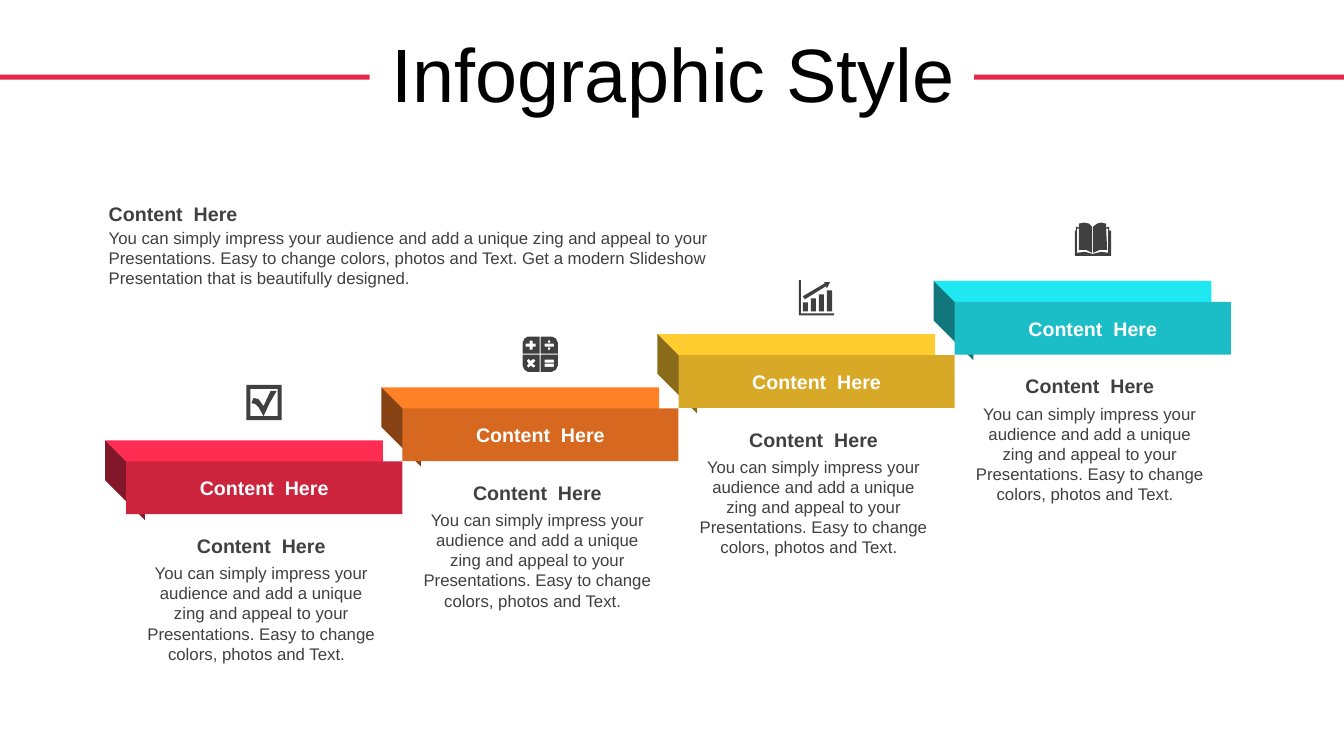
"""Builds a slide with a staircase of four extruded bars, icons and captions."""
from dataclasses import dataclass

from pptx import Presentation
from pptx.dml.color import RGBColor
from pptx.enum.shapes import MSO_SHAPE
from pptx.enum.text import MSO_ANCHOR, MSO_AUTO_SIZE, PP_ALIGN
from pptx.util import Cm, Pt

RECT = MSO_SHAPE.RECTANGLE
MIDDLE, TOP = MSO_ANCHOR.MIDDLE, MSO_ANCHOR.TOP
CENTER, LEFT = PP_ALIGN.CENTER, PP_ALIGN.LEFT
NO_FIT = MSO_AUTO_SIZE.NONE

Contour = list[tuple[float, float]]

FONT = "Arial"
COLORS = {
    "rule": "E62949", "title": "000000", "text": "404040", "label": "FFFFFF",
    "red": "CD243E", "red_top": "FF2D51", "red_side": "821729",
    "orange": "D6681F", "orange_top": "FF8126", "orange_side": "874214",
    "yellow": "D8A827", "yellow_top": "FFCD30", "yellow_side": "8A6B19",
    "cyan": "1BBDC6", "cyan_top": "20E8F2", "cyan_side": "11777D",
}
HEADING = "Content  Here"
BODY = ("You can simply impress your audience and add a unique zing and appeal to your "
        "Presentations. Easy to change colors, photos and Text.")
INTRO = BODY + " Get a modern Slideshow Presentation that is beautifully designed."

SLIDE_W, SLIDE_H = 33.87, 19.05
RULE_W = 9.32
BAR_X, BAR_Y, BAR_W, BAR_H = 3.18, 11.63, 6.96, 1.33
RISE, DEPTH = 1.34, 0.53
ICON_UNIT = Cm(2.54) / 100


def box(x1: float, y1: float, x2: float, y2: float) -> Contour:
    """Return the corners of a rectangle."""
    return [(x1, y1), (x2, y1), (x2, y2), (x1, y2)]


CHECK = [
    box(0, 0, 35, 35), box(4, 4, 31, 31),
    [(5, 18), (7, 13), (12, 14), (17, 21), (24, 6), (30, 6), (23, 18), (17, 31),
     (12, 22), (9, 19)],
]
CALCULATOR = [
    [(5, 0), (17, 0), (17, 17), (0, 17), (0, 6), (2, 2)],
    [(18, 0), (29, 0), (33, 2), (35, 6), (35, 17), (18, 17)],
    [(0, 18), (17, 18), (17, 35), (5, 35), (2, 33), (0, 29)],
    [(18, 18), (35, 18), (35, 29), (33, 33), (29, 35), (18, 35)],
    [(7, 4), (10, 4), (10, 7), (13, 7), (13, 10), (10, 10), (10, 13), (7, 13),
     (7, 10), (3, 10), (3, 7), (7, 7)],
    [(26, 3), (28, 5), (26, 7), (25, 5)], box(22, 7, 31, 10),
    [(26, 10), (28, 12), (26, 14), (25, 12)],
    [(6, 22), (4, 24), (6, 27), (4, 29), (6, 31), (8, 29), (11, 31), (13, 29),
     (10, 27), (13, 24), (11, 22), (8, 24)],
    box(22, 23, 31, 26), box(22, 27, 31, 30),
]
CHART = [
    *(box(4 + 8 * i, 22 - 4 * i, 9 + 8 * i, 31) for i in range(4)),
    [(25, 2), (31, 2), (28, 8), (27, 6), (6, 19), (4, 16), (26, 3)],
    [(0, 0), (2, 0), (2, 33), (35, 33), (35, 35), (0, 35)],
]
BOOK = [
    [(17, 31), (18, 31), (26, 29), (33, 30), (33, 6), (31, 6), (32, 27), (25, 27),
     (18, 30), (18, 4), (22, 1), (26, 0), (31, 1), (31, 5), (34, 4), (34, 8), (36, 8),
     (36, 33), (0, 33), (0, 8), (1, 8), (1, 4), (4, 5), (4, 1), (9, 0), (14, 1),
     (17, 4), (17, 30), (11, 27), (4, 27), (4, 6), (2, 6), (2, 30), (10, 29)],
]


@dataclass
class Step:
    """One bar of the staircase with the icon above it."""
    color: str
    icon: list[Contour]
    icon_y: float


STEPS = [
    Step("red", CHECK, 9.7),
    Step("orange", CALCULATOR, 8.48),
    Step("yellow", CHART, 7.06),
    Step("cyan", BOOK, 5.61),
]


def paint(sp, color: str) -> None:
    """Give a shape a flat fill without line or shadow."""
    sp.fill.solid()
    sp.fill.fore_color.rgb = RGBColor.from_string(COLORS[color])
    sp.line.fill.background()
    sp.shadow.inherit = False


def write(sp, text: str, size: int, color: str, bold=False, align=CENTER, anchor=MIDDLE):
    """Write one formatted paragraph into a shape and return it."""
    tf = sp.text_frame
    tf.text = text
    tf.word_wrap = True
    tf.auto_size = NO_FIT
    tf.vertical_anchor = anchor
    p = tf.paragraphs[0]
    p.alignment = align
    font = p.runs[0].font
    font.name, font.size, font.bold = FONT, Pt(size), bold
    font.color.rgb = RGBColor.from_string(COLORS[color])
    return p


def add_rect(s, x: float, y: float, w: float, h: float, color: str):
    """Add a flat rectangle."""
    sp = s.shapes.add_shape(RECT, Cm(x), Cm(y), Cm(w), Cm(h))
    paint(sp, color)
    return sp


def add_outline(s, contours: list[Contour], x: float, y: float, unit: float, color: str) -> None:
    """Add a filled freeform of closed contours."""
    builder = s.shapes.build_freeform(*contours[0][0], scale=unit)
    for i, contour in enumerate(contours):
        if i:
            builder.move_to(*contour[0])
        builder.add_line_segments(contour[1:], close=True)
    paint(builder.convert_to_shape(Cm(x), Cm(y)), color)


def add_text(s, x: float, y: float, w: float, h: float, text: str, heading: bool,
             align=CENTER, inset=0.0) -> None:
    """Add a heading or a body text box."""
    sp = s.shapes.add_textbox(Cm(x), Cm(y), Cm(w), Cm(h))
    sp.text_frame.margin_left = Cm(inset)
    write(sp, text, 14 if heading else 12, "text", heading, align, MIDDLE if heading else TOP)


def add_step(s, step: Step, x: float, y: float) -> None:
    """Add an extruded bar with its label, icon and caption."""
    lid = [(0, 0), (BAR_W, 0), (BAR_W + DEPTH, DEPTH), (DEPTH, DEPTH)]
    side = [(0, 0), (DEPTH, DEPTH), (DEPTH, DEPTH + BAR_H), (0, BAR_H)]
    add_outline(s, [lid], x - DEPTH, y - DEPTH, Cm(1), step.color + "_top")
    add_outline(s, [side], x - DEPTH, y - DEPTH, Cm(1), step.color + "_side")
    bar = add_rect(s, x, y, BAR_W, BAR_H, step.color)
    write(bar, HEADING, 14, "label", True)
    add_outline(s, step.icon, x + 3.03, step.icon_y, ICON_UNIT, "text")
    add_text(s, x + 0.48, y + 1.69, 6.1, 0.86, HEADING, True)
    add_text(s, x + 0.48, y + 2.43, 6.1, 2.82, BODY + "  ", False)


def main() -> None:
    """Build and save the slide."""
    prs = Presentation()
    prs.slide_width, prs.slide_height = Cm(SLIDE_W), Cm(SLIDE_H)
    s = prs.slides.add_slide(prs.slide_layouts[5])
    for x in (0, SLIDE_W - RULE_W):
        add_rect(s, x, 1.88, RULE_W, 0.13, "rule")
    title = s.shapes.title
    title.left, title.top, title.width, title.height = Cm(0.89), Cm(0.79), Cm(32.16), Cm(2.34)
    p = write(title, "Infographic Style", 54, "title")
    p.line_spacing, p.space_before = 0.9, Pt(10)
    for i, step in enumerate(STEPS):
        add_step(s, step, BAR_X + i * BAR_W, BAR_Y - i * RISE)
    add_text(s, 2.49, 4.95, 16.99, 0.86, HEADING, True, LEFT, 0.25)
    add_text(s, 2.49, 5.61, 16.99, 1.8, INTRO, False, LEFT, 0.25)
    prs.save("out.pptx")


if __name__ == "__main__":
    main()
